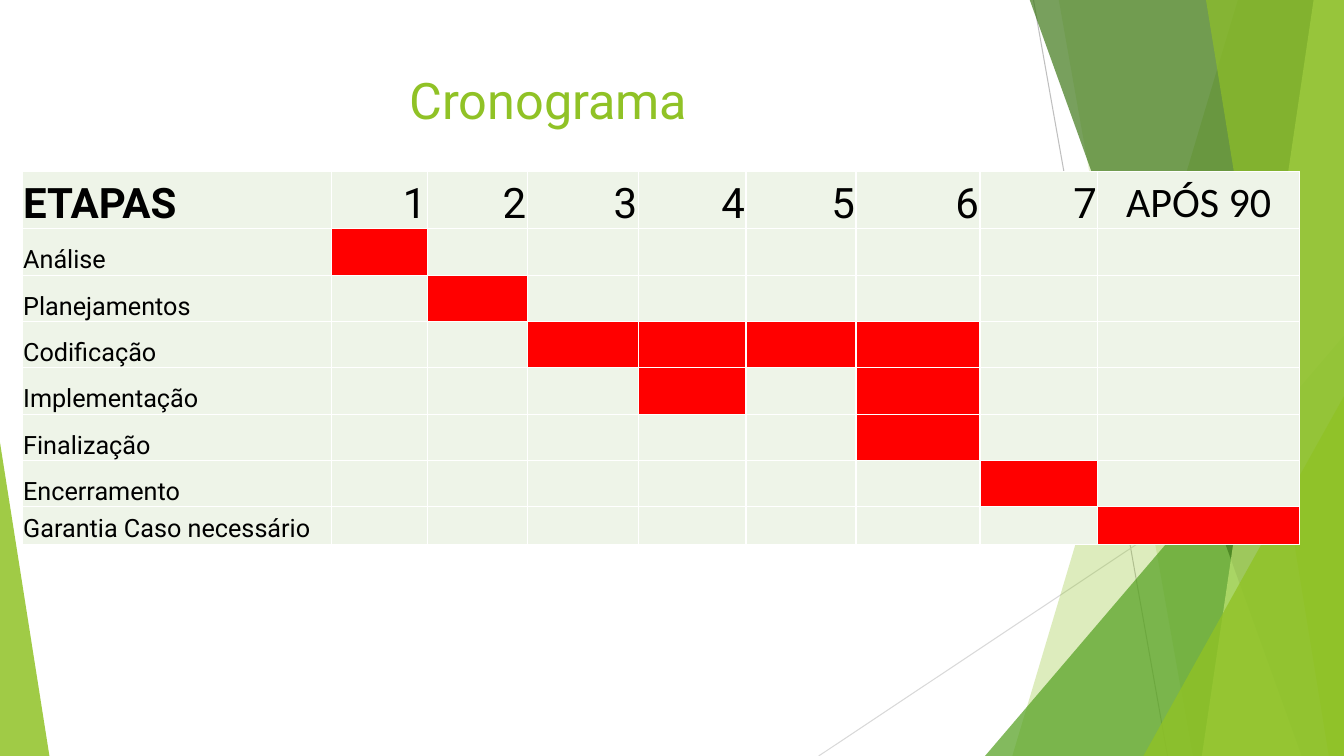
from dataclasses import dataclass

from lxml import etree
from pptx import Presentation
from pptx import util as u
from pptx.dml.color import RGBColor
from pptx.enum import shapes, text
from pptx.oxml.ns import qn

GREEN, RED, PALE, WHITE, BLACK = "90C226", "FF0000", "EEF4E8", "FFFFFF", "000000"
W, H, TOP = 13.33, 7.5, -0.01


@dataclass
class Ray:
    start: tuple[float, float]
    end: tuple[float, float]
    color: str


@dataclass
class Band:
    """Band running to the right edge, slanted on its left side."""
    top_x: float
    bottom_x: float
    color: str
    opacity: int


@dataclass
class Wedge:
    """Triangle standing on the bottom edge; apex is 0 (left) or 1 (right)."""
    left: float
    top: float
    width: float
    apex: int
    color: str
    opacity: int


@dataclass
class Stage:
    name: str
    periods: tuple[int, ...]
    height: float = 0.46


RAYS = [
    Ray((10.25, 0), (11.58, H), "BFBFBF"),
    Ray((W, 4.03), (8.12, H), "D9D9D9"),
]
FACETS = [
    Band(12.28, 10.04, GREEN, 30),
    Band(10.5, 11.83, GREEN, 20),
    Wedge(9.77, 3.33, 3.56, 1, "54A021", 72),
    Band(10.21, 12.91, "3F7819", 70),
    Band(13.03, 11.92, "C0E474", 70),
    Band(11.96, 13.18, GREEN, 65),
    Wedge(11.34, 3.93, 1.99, 1, GREEN, 80),
    Wedge(0, 4.39, 0.49, 0, GREEN, 85),
]
HEADERS = ["ETAPAS", "1", "2", "3", "4", "5", "6", "7", "APÓS 90"]
COL_WIDTHS = [3.07, 0.95, 0.99, 1.1, 1.07, 1.09, 1.23, 1.17, 2]
HEADER_HEIGHT = 0.57
STAGES = [
    Stage("Análise", (1,)),
    Stage("Planejamentos", (2,)),
    Stage("Codificação", (3, 4, 5, 6)),
    Stage("Implementação", (4, 6)),
    Stage("Finalização", (6,)),
    Stage("Encerramento", (7,)),
    Stage("Garantia Caso necessário", (8,), 0.37),
]


def rgb(value: str) -> RGBColor:
    return RGBColor.from_string(value)


def write(tf, content: str, *, size: float, font: str = "Roboto", color: str = BLACK,
          bold: bool = False, align=text.PP_ALIGN.LEFT) -> None:
    p = tf.paragraphs[0]
    p.alignment = align
    r = p.add_run()
    r.text = content
    r.font.size = u.Pt(size)
    r.font.name = font
    r.font.bold = bold
    r.font.color.rgb = rgb(color)


def draw_ray(s, ray: Ray) -> None:
    points = [u.Inches(v) for v in (*ray.start, *ray.end)]
    line = s.shapes.add_connector(shapes.MSO_CONNECTOR.STRAIGHT, *points)
    line.line.color.rgb = rgb(ray.color)
    line.line.width = u.Pt(0.75)
    etree.SubElement(line._element.spPr, qn("a:effectLst"))


def draw_facet(s, facet: Band | Wedge) -> None:
    if isinstance(facet, Band):
        corners = [(facet.top_x, TOP), (W, TOP), (W, H), (facet.bottom_x, H)]
        points = [(u.Inches(x), u.Inches(y)) for x, y in corners]
        builder = s.shapes.build_freeform(*points[0])
        builder.add_line_segments(points[1:], close=True)
        sp = builder.convert_to_shape()
    else:
        box = (facet.left, facet.top, facet.width, H - facet.top)
        sp = s.shapes.add_shape(shapes.MSO_SHAPE.ISOSCELES_TRIANGLE,
                                *(u.Inches(v) for v in box))
        sp.adjustments[0] = facet.apex
    sp.shadow.inherit = False
    sp.line.fill.background()
    sp.fill.solid()
    sp.fill.fore_color.rgb = rgb(facet.color)
    clr = sp._element.spPr.find(qn("a:solidFill")).find(qn("a:srgbClr"))
    etree.SubElement(clr, qn("a:alpha"), val=str(facet.opacity * 1000))


def format_cell(cell, fill: str) -> None:
    cell.margin_left = cell.margin_right = cell.margin_top = u.Inches(0.01)
    cell.margin_bottom = 0
    cell.vertical_anchor = text.MSO_ANCHOR.BOTTOM
    tc_pr = cell._tc.get_or_add_tcPr()
    for side in ("lnL", "lnR", "lnT", "lnB"):
        ln = etree.SubElement(tc_pr, qn(f"a:{side}"), w=str(u.Pt(1)))
        solid = etree.SubElement(ln, qn("a:solidFill"))
        etree.SubElement(solid, qn("a:srgbClr"), val=WHITE)
    cell.fill.solid()
    cell.fill.fore_color.rgb = rgb(fill)


def draw_schedule(s) -> None:
    heights = [HEADER_HEIGHT] + [stage.height for stage in STAGES]
    box = (0.22, 1.7, sum(COL_WIDTHS), sum(heights))
    table = s.shapes.add_table(len(heights), len(COL_WIDTHS),
                               *(u.Inches(v) for v in box)).table
    table.first_row = table.horz_banding = False
    for column, width in zip(table.columns, COL_WIDTHS):
        column.width = u.Inches(width)
    for row, height in zip(table.rows, heights):
        row.height = u.Inches(height)

    # Header row
    last = len(HEADERS) - 1
    for i, label in enumerate(HEADERS):
        cell = table.cell(0, i)
        format_cell(cell, PALE)
        align = {0: text.PP_ALIGN.LEFT, last: text.PP_ALIGN.CENTER}.get(i, text.PP_ALIGN.RIGHT)
        write(cell.text_frame, label, size=30, bold=i == 0, align=align,
              font="Calibri" if i == last else "Roboto")

    # Stage rows with their busy periods
    for row, stage in enumerate(STAGES, start=1):
        for i in range(len(HEADERS)):
            format_cell(table.cell(row, i), RED if i in stage.periods else PALE)
        write(table.cell(row, 0).text_frame, stage.name, size=18)


def main() -> None:
    prs = Presentation()
    prs.slide_width, prs.slide_height = u.Inches(W), u.Inches(H)
    s = prs.slides.add_slide(prs.slide_layouts[5])

    # Background decoration
    for ray in RAYS:
        draw_ray(s, ray)
    for facet in FACETS:
        draw_facet(s, facet)

    # Title
    title = s.shapes.title
    title.left, title.top = u.Inches(0.74), u.Inches(0.64)
    title.width, title.height = u.Inches(9.4), u.Inches(1.47)
    title.text_frame.vertical_anchor = text.MSO_ANCHOR.TOP
    write(title.text_frame, "Cronograma", size=36, color=GREEN, align=text.PP_ALIGN.CENTER)

    # Schedule
    draw_schedule(s)
    prs.save("out.pptx")


if __name__ == "__main__":
    main()
